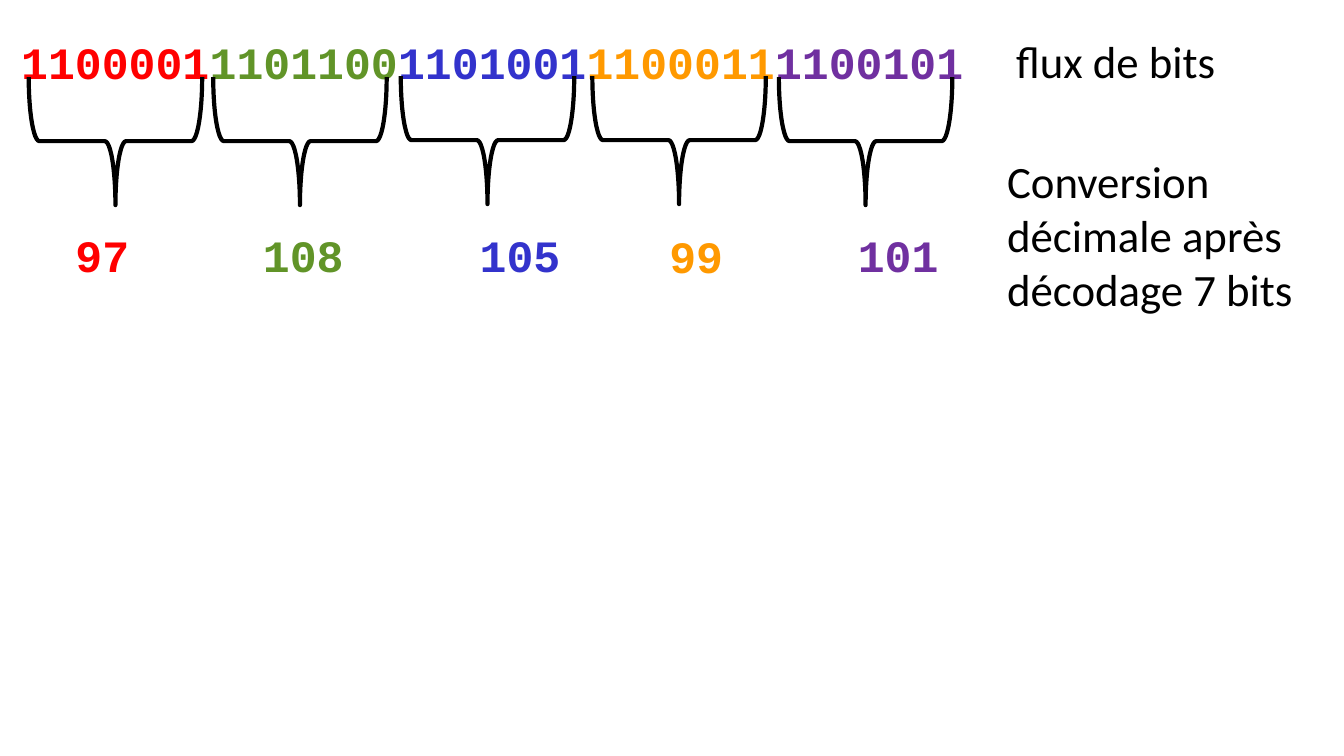
"""Builds a slide that decodes a bit stream into 7-bit decimal values."""
from dataclasses import dataclass

from lxml.etree import SubElement
from pptx import Presentation
from pptx.dml.color import RGBColor
from pptx.enum.shapes import MSO_SHAPE
from pptx.enum.text import MSO_ANCHOR, MSO_AUTO_SIZE
from pptx.oxml.ns import qn
from pptx.slide import Slide
from pptx.text.text import TextFrame, _Paragraph
from pptx.util import Emu, Pt

PX = 9144


@dataclass(frozen=True)
class Theme:
    """Colours, fonts and sizes of the slide."""
    black: str = "000000"
    red: str = "FF0000"
    green: str = "619428"
    blue: str = "3333CC"
    orange: str = "FF9900"
    purple: str = "7030A0"
    code_font: str = "Courier New"
    label_font: str = "Calibri"
    text_size: int = 32
    space_before: float = 6.4
    brace_line: int = 3


@dataclass(frozen=True)
class Group:
    """Seven bits, their decimal value and the places of brace and value."""
    bits: str
    value: str
    color: str
    brace_x: int
    brace_y: int
    value_x: int
    value_y: int


@dataclass(frozen=True)
class Label:
    """A caption at the right of the slide."""
    text: str
    x: int
    y: int
    w: int
    h: int


T = Theme()
BRACE_W, BRACE_H = 127, 172
VALUE_W, VALUE_H = 146, 64
GROUPS = [
    Group("1100001", "97", T.red, 51, 54, 65, 221),
    Group("1101100", "108", T.green, 234, 54, 251, 221),
    Group("1101001", "105", T.blue, 420, 53, 466, 221),
    Group("1100011", "99", T.orange, 610, 53, 654, 222),
    Group("1100101", "101", T.purple, 795, 54, 841, 221),
]
LABELS = [
    Label("flux de bits", 998, 29, 292, 64),
    Label("Conversion décimale après décodage 7 bits", 989, 148, 323, 172),
]


def box(x: int, y: int, w: int, h: int) -> tuple[Emu, ...]:
    """Turn a box in px into EMU."""
    return tuple(Emu(n * PX) for n in (x, y, w, h))


def set_attrs(target: object, values: dict) -> None:
    """Set each format value on the target."""
    for name, value in values.items():
        setattr(target, name, value)


def add_run(p: _Paragraph, text: str, font: str, color: str, bold: bool) -> None:
    """Append one formatted run."""
    r = p.add_run()
    r.text = text
    set_attrs(r.font, {"name": font, "size": Pt(T.text_size), "bold": bold})
    r.font.color.rgb = RGBColor.from_string(color)


def format_frame(tf: TextFrame) -> None:
    """Make a frame wrap and start at its top."""
    set_attrs(tf, {"word_wrap": True, "auto_size": MSO_AUTO_SIZE.NONE,
                   "vertical_anchor": MSO_ANCHOR.TOP})


def add_stream(s: Slide) -> None:
    """Write the bit stream in the body placeholder."""
    sp = s.placeholders[1]
    set_attrs(sp, dict(zip(("left", "top", "width", "height"),
                           box(11, 29, 1199, 314))))
    format_frame(sp.text_frame)
    p = sp.text_frame.paragraphs[0]
    p.space_before = Pt(T.space_before)
    pPr = p._p.get_or_add_pPr()
    pPr.set("marL", "0")
    pPr.set("indent", "0")
    SubElement(pPr, qn("a:buNone"))
    for group in GROUPS:
        add_run(p, group.bits, T.code_font, group.color, True)


def add_brace(s: Slide, x: int, y: int) -> None:
    """Draw a brace that points down."""
    sp = s.shapes.add_shape(MSO_SHAPE.LEFT_BRACE, *box(x, y, BRACE_W, BRACE_H))
    sp.rotation = 270
    sp.shadow.inherit = False
    sp.fill.background()
    sp.line.color.rgb = RGBColor.from_string(T.black)
    sp.line.width = Pt(T.brace_line)


def add_text(s: Slide, text: str, place: tuple[Emu, ...], font: str,
             color: str, bold: bool) -> None:
    """Add a text box with one run."""
    tf = s.shapes.add_textbox(*place).text_frame
    format_frame(tf)
    add_run(tf.paragraphs[0], text, font, color, bold)


def main() -> None:
    """Build and save the slide."""
    prs = Presentation()
    set_attrs(prs, {"slide_width": Emu(1333 * PX), "slide_height": Emu(750 * PX)})
    s = prs.slides.add_slide(prs.slide_layouts[1])
    title = s.shapes.title.element
    title.getparent().remove(title)
    add_stream(s)
    for group in GROUPS:
        add_brace(s, group.brace_x, group.brace_y)
        add_text(s, group.value, box(group.value_x, group.value_y, VALUE_W, VALUE_H),
                 T.code_font, group.color, True)
    for label in LABELS:
        add_text(s, label.text, box(label.x, label.y, label.w, label.h),
                 T.label_font, T.black, False)
    prs.save("out.pptx")


if __name__ == "__main__":
    main()
